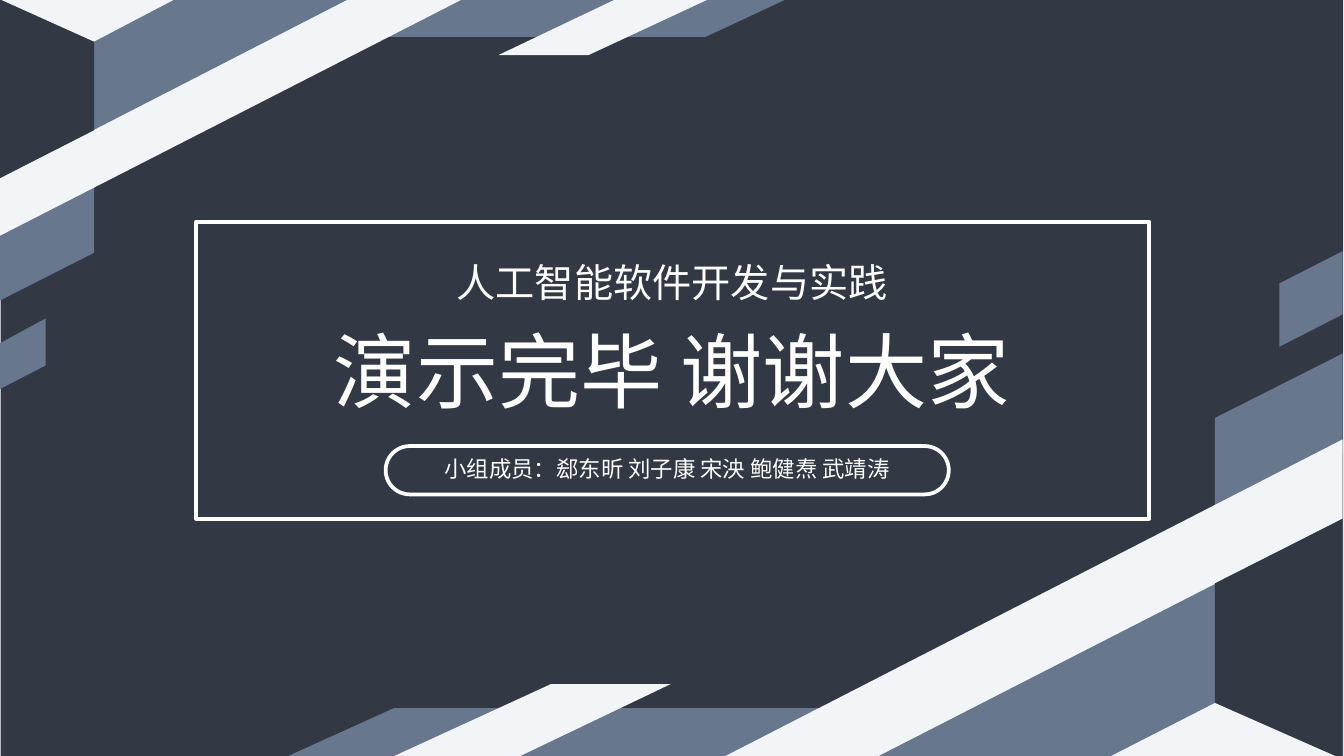
"""Build the closing slide: angled corner bands around a framed thank-you message."""
from dataclasses import dataclass

from lxml.etree import SubElement
from pptx import Presentation
from pptx.dml.color import RGBColor
from pptx.enum.shapes import MSO_SHAPE
from pptx.enum.text import MSO_ANCHOR, MSO_AUTO_SIZE, PP_ALIGN
from pptx.oxml.ns import qn
from pptx.util import Pt

DARK, SLATE, PALE, WHITE = "323844", "68778E", "F2F5F7", "FFFFFF"
LEFT, TOP, RIGHT, BOTTOM = -0.7, -0.7, 719.3, 406.8
SANS_JP, SANS_SC = "Noto Sans CJK JP", "Noto Sans CJK SC"


@dataclass(frozen=True)
class Box:
    left: float
    top: float
    width: float
    height: float

    def lengths(self) -> tuple:
        return Pt(self.left), Pt(self.top), Pt(self.width), Pt(self.height)


@dataclass(frozen=True)
class Band:
    color: str
    corners: tuple


BANDS = (
    Band(SLATE, ((265, BOTTOM), (400.3, BOTTOM), (453.6, 379.4), (322.6, 379.4))),
    Band(SLATE, ((150.5, BOTTOM), (218.2, BOTTOM), (274.3, 379.4), (211, 379.4))),
    Band(SLATE, ((RIGHT, 189.4), (RIGHT, 243.4), (650.9, 275), (650.9, 223.9))),
    Band(SLATE, ((RIGHT, 168.5), (RIGHT, 134.6), (685.4, 151.9), (685.4, 185.8))),
    Band(PALE, ((385.2, BOTTOM), (RIGHT, 235.4), (RIGHT, BOTTOM))),
    Band(SLATE, ((467.3, BOTTOM), (RIGHT, 277.9), (RIGHT, BOTTOM))),
    Band(DARK, ((RIGHT, 277.9), (RIGHT, BOTTOM), (650.9, 376.6), (650.9, 312.5))),
    Band(PALE, ((650.9, 376.6), (591.8, BOTTOM), (RIGHT, BOTTOM))),
    Band(PALE, ((207.4, BOTTOM), (275, BOTTOM), (359.3, 366.5), (295.2, 366.5))),
    Band(SLATE, ((337.7, TOP), (236.9, TOP), (197.3, 19.8), (295.2, 19.8))),
    Band(SLATE, ((421.9, TOP), (372.2, TOP), (330.5, 19.8), (378, 19.8))),
    Band(SLATE, ((LEFT, 161.3), (LEFT, 121), (50.4, 97.9), (50.4, 135.4))),
    Band(SLATE, ((LEFT, 184.3), (LEFT, 208.8), (24.5, 195.8), (24.5, 170.6))),
    Band(PALE, ((248.4, TOP), (LEFT, 126.7), (LEFT, TOP))),
    Band(SLATE, ((187.2, TOP), (LEFT, 95.8), (LEFT, TOP))),
    Band(DARK, ((LEFT, 95.8), (LEFT, TOP), (50.4, 22.3), (50.4, 69.8))),
    Band(PALE, ((50.4, 22.3), (94.3, TOP), (LEFT, TOP))),
    Band(PALE, ((380.2, TOP), (330.5, TOP), (267.1, 29.5), (315.4, 29.5))),
)


def rgb(code: str) -> RGBColor:
    """Turn a hex string into a colour."""
    return RGBColor.from_string(code)


def paint(shape, *, fill: str | None = None, line: str | None = None) -> None:
    """Set the fill and outline of a shape and remove its shadow."""
    shape.shadow.inherit = False
    if fill:
        shape.fill.solid()
        shape.fill.fore_color.rgb = rgb(fill)
    else:
        shape.fill.background()
    if line:
        shape.line.color.rgb = rgb(line)
        shape.line.width = Pt(2)
    else:
        shape.line.fill.background()


def draw_band(shapes, band: Band) -> None:
    """Draw one filled polygon."""
    start, *rest = [(Pt(x), Pt(y)) for x, y in band.corners]
    builder = shapes.build_freeform(*start)
    builder.add_line_segments(rest, close=True)
    paint(builder.convert_to_shape(), fill=band.color)


def draw_outline(shapes, preset: MSO_SHAPE, box: Box):
    """Draw an unfilled white outline."""
    shape = shapes.add_shape(preset, *box.lengths())
    paint(shape, line=WHITE)
    return shape


def write(shapes, box: Box, text: str, *, size: float, font: str = SANS_SC,
          spacing: float = 0.9, anchor: MSO_ANCHOR = MSO_ANCHOR.MIDDLE,
          margins: tuple = (5, 3), wrap: bool = True) -> None:
    """Write one centred white line of text."""
    frame = shapes.add_textbox(*box.lengths()).text_frame
    frame.word_wrap = wrap
    frame.auto_size = MSO_AUTO_SIZE.SHAPE_TO_FIT_TEXT
    frame.vertical_anchor = anchor
    frame.margin_left = frame.margin_right = Pt(margins[0])
    frame.margin_top = frame.margin_bottom = Pt(margins[1])
    para = frame.paragraphs[0]
    para.alignment = PP_ALIGN.CENTER
    para.line_spacing = spacing
    span = para.add_run()
    span.text = text
    span.font.size = Pt(size)
    span.font.name = font
    span.font.color.rgb = rgb(WHITE)
    SubElement(span.font._element, qn("a:ea"), typeface=font)


def main() -> None:
    """Build and save the deck."""
    deck = Presentation()
    deck.slide_width, deck.slide_height = Pt(720), Pt(405)
    page = deck.slides.add_slide(deck.slide_layouts[6])
    shapes = page.shapes

    backdrop = shapes.add_shape(MSO_SHAPE.RECTANGLE, *Box(156.2, -157.7, 407.5, 719.3).lengths())
    backdrop.rotation = 270
    paint(backdrop, fill=DARK)
    for band in BANDS:
        draw_band(shapes, band)

    write(shapes, Box(28.8, 175, 662.4, 53.3), "演示完毕 谢谢大家", size=44, font=SANS_JP)
    write(shapes, Box(236.2, 134.6, 247.7, 32.4), "人工智能软件开发与实践", size=21,
          spacing=1.0, anchor=MSO_ANCHOR.TOP, margins=(7.2, 3.6), wrap=False)

    members = shapes.add_group_shape().shapes
    write(members, Box(229, 242.6, 257, 18.7), "小组成员：郄东昕 刘子康 宋泱 鲍健焘 武靖涛", size=12)
    pill = draw_outline(members, MSO_SHAPE.ROUNDED_RECTANGLE, Box(206.6, 239, 301.7, 25.9))
    pill.adjustments[0] = 0.5

    draw_outline(shapes, MSO_SHAPE.RECTANGLE, Box(105.1, 118.8, 510.5, 159.1))
    deck.save("out.pptx")


if __name__ == "__main__":
    main()
